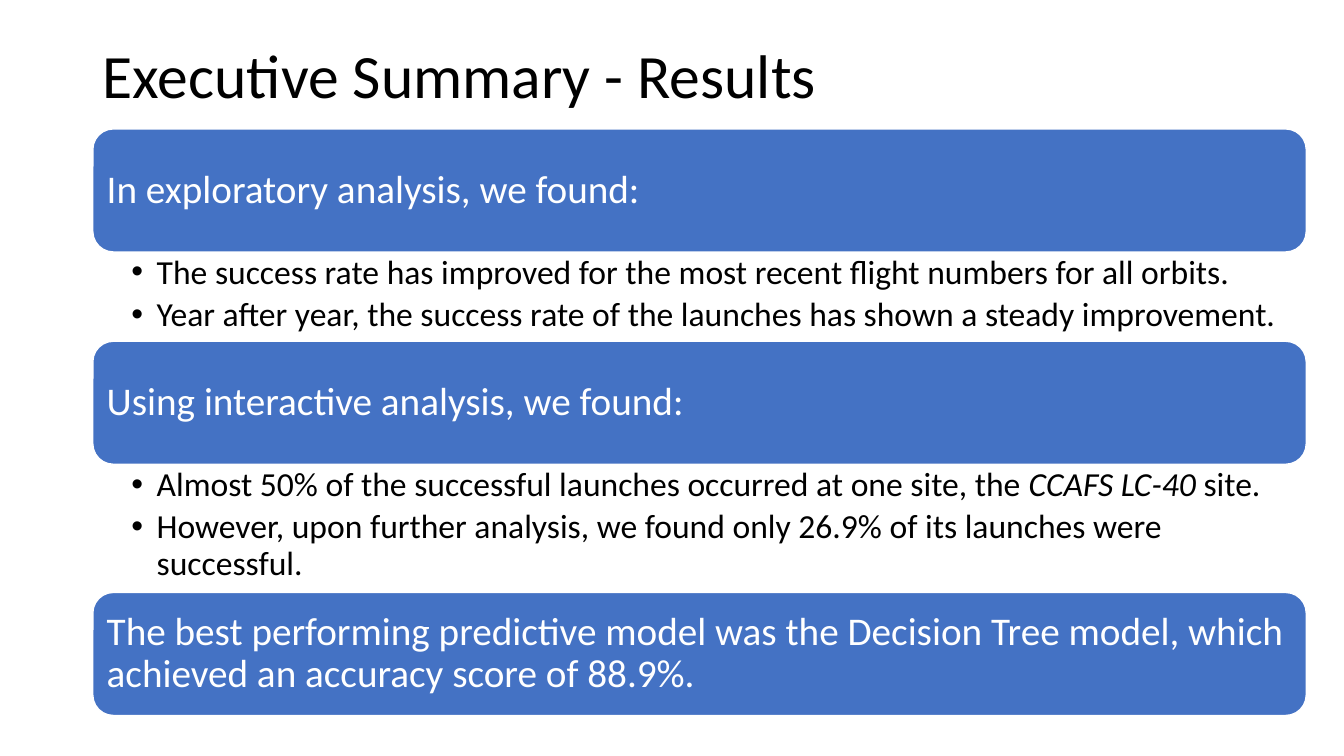
from lxml.etree import SubElement
from pptx import Presentation
from pptx.dml.color import RGBColor
from pptx.enum.shapes import MSO_SHAPE
from pptx.enum.text import MSO_ANCHOR, PP_ALIGN
from pptx.oxml.ns import qn
from pptx.util import Cm, Pt

TITLE = "Executive Summary - Results"
SECTIONS = [
    ("In exploratory analysis, we found:", 2.25, [
        [("The success rate has improved for the most recent flight numbers for all orbits.", False)],
        [("Year after year, the success rate of the launches has shown a steady improvement.", False)],
    ]),
    ("Using interactive analysis, we found:", 3.23, [
        [("Almost 50% of the successful launches occurred at one site, the ", False),
         ("CCAFS LC-40", True), (" site.", False)],
        [("However, upon further analysis, we found only 26.9% of its launches were successful.", False)],
    ]),
    ("The best performing predictive model was the Decision Tree model, "
     "which achieved an accuracy score of 88.9%.", 0, []),
]

BLACK = RGBColor(0x00, 0x00, 0x00)
WHITE = RGBColor(0xFF, 0xFF, 0xFF)
BLUE = RGBColor(0x44, 0x72, 0xC4)
FONT = "Calibri"
LEFT, WIDTH = 2.34, 30.58
FIRST_TOP, BANNER_HEIGHT = 3.25, 3.1
BULLET_INDENT = 0.64


def write_text(shape, paragraphs, size, color, insets, anchor=MSO_ANCHOR.TOP,
               bullet=False, space_after=0):
    frame = shape.text_frame
    frame.word_wrap = True
    frame.vertical_anchor = anchor
    (frame.margin_left, frame.margin_top,
     frame.margin_right, frame.margin_bottom) = [Cm(inset) for inset in insets]
    for index, spans in enumerate(paragraphs):
        para = frame.paragraphs[0] if index == 0 else frame.add_paragraph()
        if bullet:
            para.level = 1
            properties = para._p.get_or_add_pPr()
            properties.set("marL", str(Cm(BULLET_INDENT)))
            properties.set("indent", str(-Cm(BULLET_INDENT)))
            SubElement(properties, qn("a:buFont"), typeface="Arial")
            SubElement(properties, qn("a:buChar"), char="•")
        para.alignment = PP_ALIGN.LEFT
        para.line_spacing = 0.9
        para.space_after = Pt(space_after)
        for text, italic in spans:
            span = para.add_run()
            span.text = text
            span.font.name = FONT
            span.font.size = Pt(size)
            span.font.italic = italic
            span.font.color.rgb = color


deck = Presentation()
deck.slide_width, deck.slide_height = Cm(33.87), Cm(19.05)
page = deck.slides.add_slide(deck.slide_layouts[6])

title_box = page.shapes.add_textbox(Cm(LEFT), Cm(1.02), Cm(29.21), Cm(2))
write_text(title_box, [[(TITLE, False)]], 44, BLACK, (0.25, 0.13, 0.25, 0.13))

top = FIRST_TOP
for heading, list_height, findings in SECTIONS:
    banner = page.shapes.add_shape(MSO_SHAPE.ROUNDED_RECTANGLE, Cm(LEFT), Cm(top),
                                   Cm(WIDTH), Cm(BANNER_HEIGHT))
    banner.shadow.inherit = False
    banner.fill.solid()
    banner.fill.fore_color.rgb = BLUE
    banner.line.color.rgb = WHITE
    banner.line.width = Pt(1)
    inset = 0.2
    write_text(banner, [[(heading, False)]], 28, WHITE, (inset,) * 4, MSO_ANCHOR.MIDDLE)
    top += BANNER_HEIGHT
    if findings:
        finding_box = page.shapes.add_textbox(Cm(LEFT), Cm(top), Cm(WIDTH), Cm(list_height))
        write_text(finding_box, findings, 24, BLACK, (0.97, 0.08, 0.48, 0.08),
                   bullet=True, space_after=4.4)
    top += list_height

deck.save("out.pptx")
